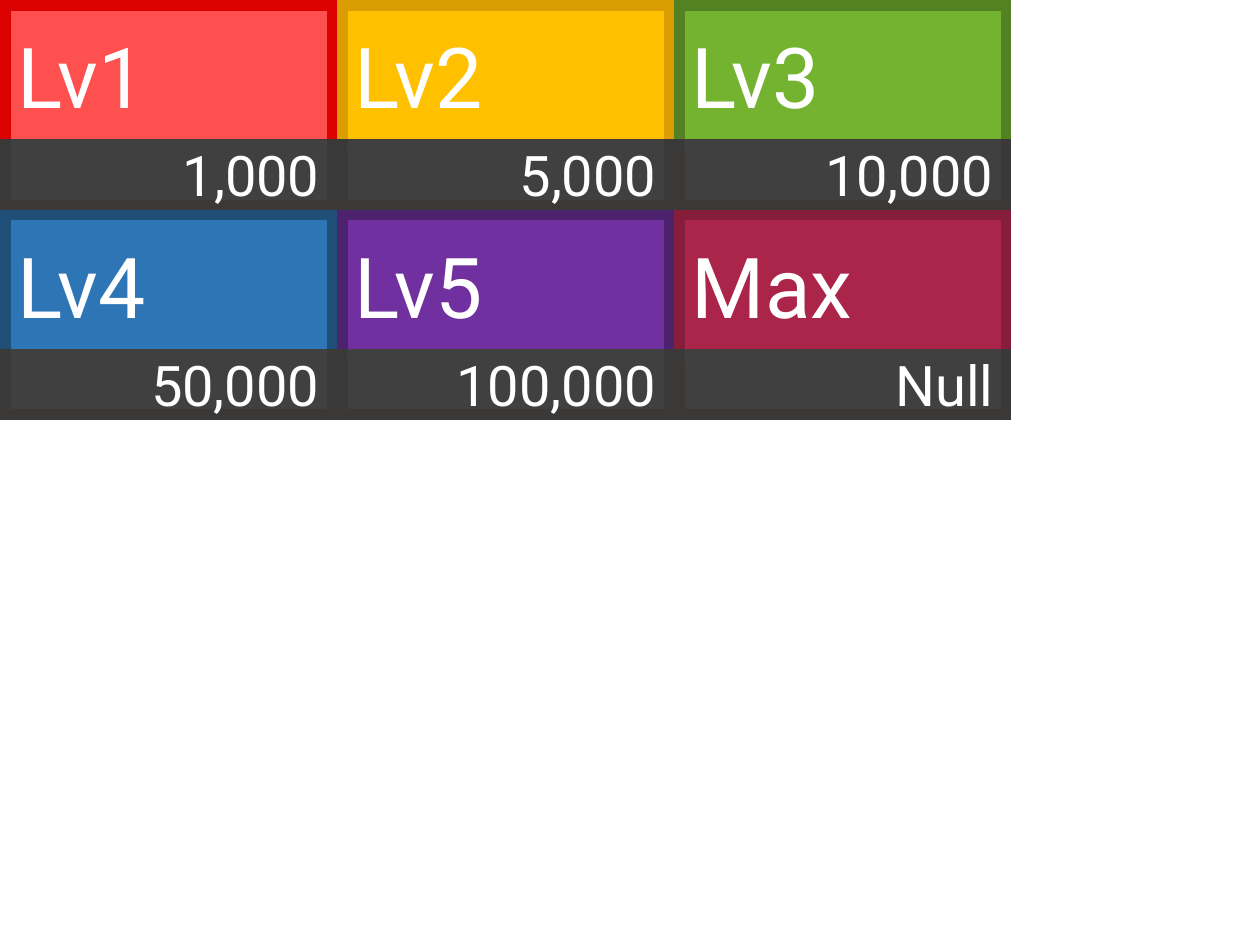
"""Build a slide with a grid of level cards."""
from dataclasses import dataclass

from lxml import etree
from pptx import Presentation
from pptx import util as u
from pptx.dml.color import RGBColor
from pptx.enum import shapes, text
from pptx.oxml import ns


@dataclass(frozen=True)
class Theme:
    """Hold the shared colours, font and sizes."""
    font: str = "Roboto"
    ink: str = "FFFFFF"
    dark: str = "404040"
    edge: str = "3B3838"
    big: int = 48
    small: int = 32
    rim: int = 6


THEME = Theme()
LEVELS = [
    ("Lv1", "1,000", "FF5050", "DC0202"),
    ("Lv2", "5,000", "FFC000", "DA9D04"),
    ("Lv3", "10,000", "74B32F", "548222"),
    ("Lv4", "50,000", "2E75B6", "1F4E79"),
    ("Lv5", "100,000", "7030A0", "4C216D"),
    ("Max", "Null", "AB254B", "851D3B"),
]


def add_rect(group, box, fill, line=None):
    """Add a filled rectangle with an optional square-cornered rim."""
    rect = group.shapes.add_shape(
        shapes.MSO_SHAPE.RECTANGLE, *(u.Cm(side) for side in box))
    rect.shadow.inherit = False
    rect.fill.solid()
    rect.fill.fore_color.rgb = RGBColor.from_string(fill)
    if line:
        rect.line.color.rgb = RGBColor.from_string(line)
        rect.line.width = u.Pt(THEME.rim)
        etree.SubElement(rect.line._ln, ns.qn("a:miter"), lim="800000")
    else:
        rect.line.fill.background()
    return rect


def set_text(rect, words, size, align):
    """Write one line of text, centred vertically in a rectangle."""
    frame = rect.text_frame
    frame.text = words
    frame.vertical_anchor = text.MSO_ANCHOR.MIDDLE
    para = frame.paragraphs[0]
    para.alignment = align
    font = para.runs[0].font
    font.name = THEME.font
    font.size = u.Pt(size)
    font.color.rgb = RGBColor.from_string(THEME.ink)


def add_card(slide, box, level):
    """Add a level card: a coloured head, a dark foot and a seam over both."""
    left, top, width, height = box
    name, score, fill, line = level
    foot_h, seam_h, inset = 1.22, 0.25, 0.1
    head_h = height - foot_h
    group = slide.shapes.add_group_shape()
    head = add_rect(group, (left, top, width, head_h), fill, line)
    set_text(head, name, THEME.big, text.PP_ALIGN.LEFT)
    foot = add_rect(group, (left, top + head_h, width, foot_h),
                    THEME.dark, THEME.edge)
    set_text(foot, score, THEME.small, text.PP_ALIGN.RIGHT)
    add_rect(group, (left + inset, top + head_h - inset,
                     width - 2 * inset, seam_h), THEME.dark)


def add_grid(slide, box, levels, cols=3, gap=0.21):
    """Lay the cards out in equal cells of the given box."""
    left, top, width, height = box
    rows = -(-len(levels) // cols)
    card_w = (width - gap * (cols - 1)) / cols
    card_h = (height - gap * (rows - 1)) / rows
    for index, level in enumerate(levels):
        row, col = divmod(index, cols)
        cell = (left + col * (card_w + gap), top + row * (card_h + gap),
                card_w, card_h)
        add_card(slide, cell, level)


def main():
    """Build and save the deck."""
    deck = Presentation()
    deck.slide_width, deck.slide_height = u.Cm(25.4), u.Cm(19.05)
    slide = deck.slides.add_slide(deck.slide_layouts[6])
    add_grid(slide, (0.11, 0.11, 20.17, 8.25), LEVELS)
    deck.save("out.pptx")


if __name__ == "__main__":
    main()
